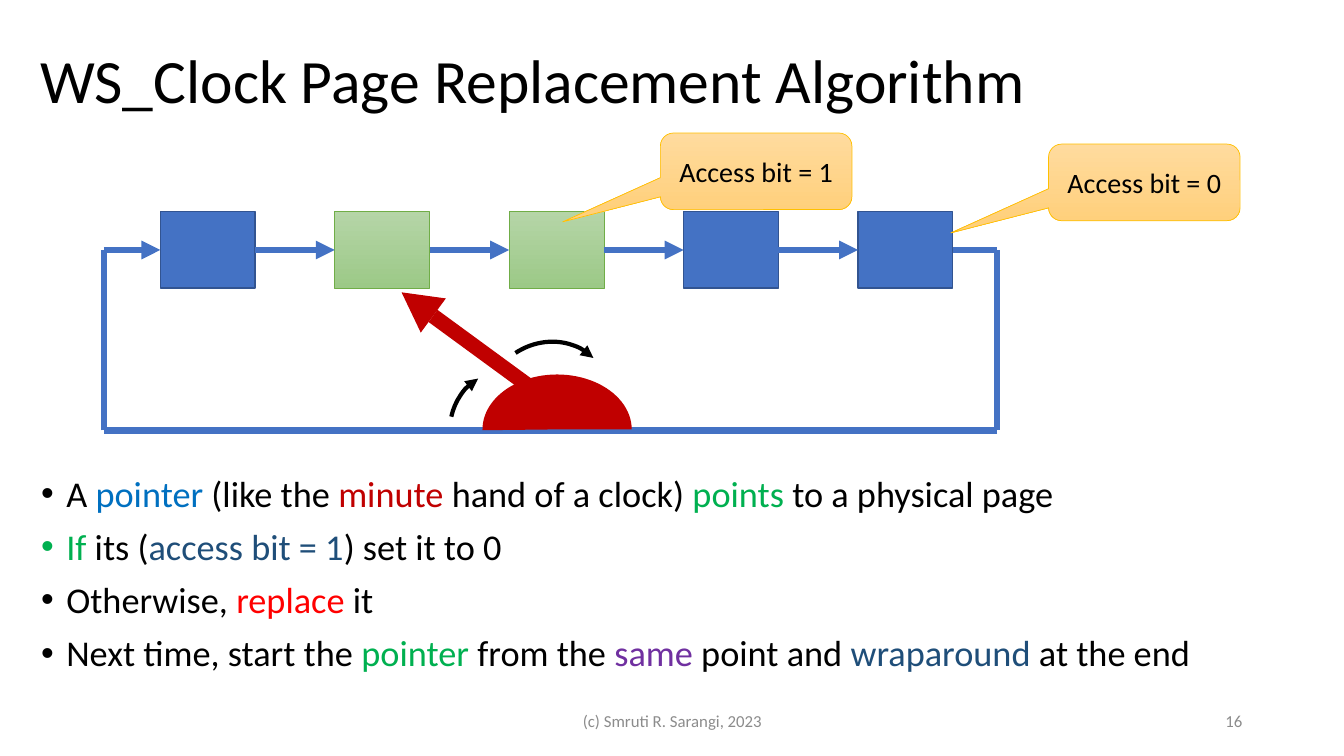
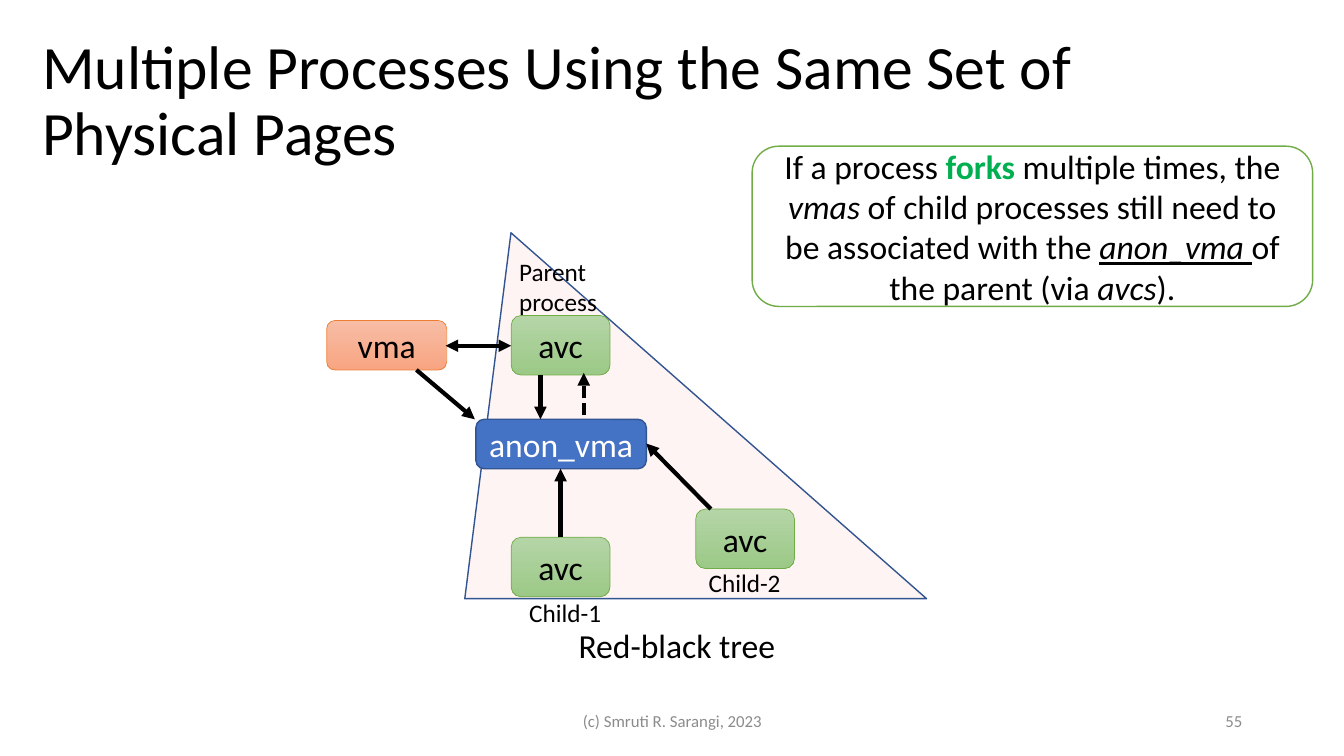
"""Build two lecture slides on page replacement and shared physical pages."""
from dataclasses import dataclass
from itertools import pairwise

from lxml import etree
from pptx import Presentation
from pptx.dml.color import RGBColor
from pptx.enum.dml import MSO_LINE
from pptx.enum.shapes import MSO_CONNECTOR, MSO_SHAPE
from pptx.enum.text import MSO_ANCHOR, PP_ALIGN
from pptx.oxml.ns import qn
from pptx.util import Pt

EMU_PER_PX = 9144
LEFT, CENTER, RIGHT = PP_ALIGN.LEFT, PP_ALIGN.CENTER, PP_ALIGN.RIGHT
TOP, MIDDLE = MSO_ANCHOR.TOP, MSO_ANCHOR.MIDDLE
STRAIGHT = MSO_CONNECTOR.STRAIGHT
DASH = MSO_LINE.SQUARE_DOT
RECT, ROUND_RECT = MSO_SHAPE.RECTANGLE, MSO_SHAPE.ROUNDED_RECTANGLE
CALLOUT = MSO_SHAPE.ROUNDED_RECTANGULAR_CALLOUT
TRIANGLE, PIE, ARC = MSO_SHAPE.ISOSCELES_TRIANGLE, MSO_SHAPE.PIE, MSO_SHAPE.ARC


@dataclass(frozen=True)
class Look:
    """Fill (one colour or a top and bottom pair), outline and text colour."""
    fill: tuple = ()
    line: str = ""
    width: float = 0.5
    text: str = "000000"
    alpha: int = 100


@dataclass(frozen=True)
class Theme:
    """Colours, looks and type sizes of the deck."""
    font: str = "Calibri"
    title: float = 44
    body: float = 25.9
    node: float = 24
    callout: float = 20
    label: float = 18
    footer: float = 12
    black: str = "000000"
    grey: str = "8C8C8C"
    blue: str = "4472C4"
    sky: str = "0070C0"
    navy: str = "1F4E79"
    crimson: str = "C00000"
    red: str = "FF0000"
    emerald: str = "00B050"
    purple: str = "7030A0"
    solid: Look = Look(("4472C4",), "325491", 1, "FFFFFF")
    green: Look = Look(("B5D5A7", "9CC987"), "70AD47")
    orange: Look = Look(("F7BDA5", "F8A582"), "ED7D31")
    amber: Look = Look(("FFDB9E", "FFD07C"), "FFC000")
    note: Look = Look(("FFFFFF",), "70AD47", 1)
    tree: Look = Look(("FFE5E5",), "325491", 1, alpha=40)
    hand: Look = Look(("C00000",))
    turn: Look = Look((), "000000", 3)


def px(length):
    return round(length * EMU_PER_PX)


def rgb(code):
    return RGBColor.from_string(code)


class SlideBuilder:
    """Draws styled elements on the current slide."""

    def __init__(self, deck, theme):
        self.deck = deck
        self.theme = theme
        self.slide = None

    def start(self, title, left, top, number):
        theme = self.theme
        self.slide = self.deck.slides.add_slide(self.deck.slide_layouts[6])
        heading = self.text((left, top, 1150, 145), title, theme.title, anchor=MIDDLE)
        heading.text_frame.paragraphs[0].line_spacing = 0.9
        self.text((442, 695, 450, 40), "(c) Smruti R. Sarangi, 2023",
                  theme.footer, theme.grey, CENTER, MIDDLE)
        self.text((942, 695, 300, 40), number, theme.footer, theme.grey, RIGHT, MIDDLE)

    def fill_para(self, para, content, size, color, align=LEFT):
        para.alignment = align
        para.font.name = self.theme.font
        para.font.size = Pt(size)
        para.font.color.rgb = rgb(color)
        if isinstance(content, str):
            para.text = content
            return
        for words, tint, style in content:
            span = para.add_run()
            span.text = words
            if tint:
                span.font.color.rgb = rgb(tint)
            if "b" in style:
                span.font.bold = True
            if "i" in style:
                span.font.italic = True
            if "u" in style:
                span.font.underline = True

    def text(self, area, content, size, color=None, align=LEFT, anchor=TOP, wrap=True):
        box = self.slide.shapes.add_textbox(*map(px, area))
        box.text_frame.word_wrap = wrap
        box.text_frame.vertical_anchor = anchor
        self.fill_para(box.text_frame.paragraphs[0], content, size,
                       color or self.theme.black, align)
        return box

    def bullets(self, area, items):
        frame = self.slide.shapes.add_textbox(*map(px, area)).text_frame
        frame.word_wrap = True
        for index, item in enumerate(items):
            para = frame.add_paragraph() if index else frame.paragraphs[0]
            properties = para._p.get_or_add_pPr()
            properties.set("marL", str(px(25)))
            properties.set("indent", str(-px(25)))
            etree.SubElement(properties, qn("a:buFont"), typeface="Arial")
            etree.SubElement(properties, qn("a:buChar"), char="•")
            para.line_spacing = 0.9
            para.space_before = Pt(10 if index else 0)
            self.fill_para(para, item, self.theme.body, self.theme.black)

    def paint(self, shape, look):
        shape.shadow.inherit = False
        if not look.fill:
            shape.fill.background()
        elif len(look.fill) == 1:
            shape.fill.solid()
            shape.fill.fore_color.rgb = rgb(look.fill[0])
            if look.alpha < 100:
                color = shape._element.spPr.find(qn("a:solidFill"))[0]
                etree.SubElement(color, qn("a:alpha"), val=str(look.alpha * 1000))
        else:
            shape.fill.gradient()
            shape.fill.gradient_angle = 270
            for stop, code in zip(shape.fill.gradient_stops, look.fill):
                stop.color.rgb = rgb(code)
        if look.line:
            shape.line.color.rgb = rgb(look.line)
            shape.line.width = Pt(look.width)
        else:
            shape.line.fill.background()

    def shape(self, kind, area, look, content="", size=None, adjust=(), turn=0):
        shape = self.slide.shapes.add_shape(kind, *map(px, area))
        self.paint(shape, look)
        shape.rotation = turn
        for index, value in enumerate(adjust):
            shape.adjustments[index] = value
        if content:
            frame = shape.text_frame
            frame.word_wrap = True
            frame.vertical_anchor = MIDDLE
            self.fill_para(frame.paragraphs[0], content, size or self.theme.node,
                           look.text, CENTER)
        return shape

    def arrowheads(self, line, ends):
        for end in ends:
            etree.SubElement(line._get_or_add_ln(), qn(f"a:{end}"), type="triangle")

    def line(self, start, finish, color, width, ends=("tailEnd",), dash=None):
        connector = self.slide.shapes.add_connector(
            STRAIGHT, *map(px, (*start, *finish)))
        connector.line.color.rgb = rgb(color)
        connector.line.width = Pt(width)
        if dash:
            connector.line.dash_style = dash
        self.arrowheads(connector.line, ends)
        etree.SubElement(connector._element.spPr, qn("a:effectLst"))

    def turn_arrow(self, area, sweep, turn):
        arc = self.shape(ARC, area, self.theme.turn, adjust=sweep, turn=turn)
        self.arrowheads(arc.line, ("tailEnd",))


def draw_clock(builder):
    theme = builder.theme
    builder.start("WS_Clock Page Replacement Algorithm", 30, 10, "16")
    builder.bullets((31, 467, 1204, 220), (
        (("A ", "", ""), ("pointer", theme.sky, ""), (" (like the ", "", ""),
         ("minute", theme.crimson, ""), (" hand of a clock) ", "", ""),
         ("points", theme.emerald, ""), (" to a physical page", "", "")),
        (("If", theme.emerald, ""), (" its (", "", ""),
         ("access bit = 1", theme.navy, ""), (") set it to 0", "", "")),
        (("Otherwise, ", "", ""), ("replace", theme.red, ""), (" it", "", "")),
        (("Next time, start the ", "", ""), ("pointer", theme.emerald, ""),
         (" from the ", "", ""), ("same", theme.purple, ""),
         (" point and ", "", ""), ("wraparound", theme.navy, ""),
         (" at the end", "", "")),
    ))

    first, pitch, width, middle = 159, 173, 94, 248
    looks = (theme.solid, theme.green, theme.green, theme.solid, theme.solid)
    lefts = [first + pitch * index for index in range(len(looks))]
    for left, look in zip(lefts, looks):
        builder.shape(RECT, (left, 210, width, 76), look)
    for left, following in pairwise(lefts):
        builder.line((left + width, middle), (following, middle), theme.blue, 4.5)
    loop = ((lefts[-1] + width, middle), (989, middle), (989, 427),
            (103, 427), (103, middle), (first, middle))
    for start, finish in pairwise(loop):
        ends = ("tailEnd",) if finish == loop[-1] else ()
        builder.line(start, finish, theme.blue, 4.5, ends)

    for left, top, bit in ((1040, 143, 0), (655, 132, 1)):
        builder.shape(CALLOUT, (left, top, 190, 76), theme.amber,
                      f"Access bit = {bit}", theme.callout, (-1.01, 0.66, 0.17))

    tilt = 306.2
    builder.shape(PIE, (498, 352, 109, 148), theme.hand, adjust=(53.62, 162), turn=90)
    builder.shape(TRIANGLE, (393, 282, 42, 39), theme.hand, turn=tilt)
    builder.shape(RECT, (474, 287, 15, 129), theme.hand, turn=tilt)
    builder.turn_arrow((442, 372, 128, 118), (186.43, 212.45), 246.1)
    builder.turn_arrow((479, 341, 128, 118), (165.67, 212.45), 321.4)


def draw_shared_pages(builder):
    theme = builder.theme
    builder.start("Multiple Processes Using the Same Set of Physical Pages", 32, 29, "55")
    builder.shape(TRIANGLE, (461, 231, 458, 363), theme.tree, adjust=(0.1,))
    builder.shape(ROUND_RECT, (324, 318, 119, 49), theme.orange, "vma")
    builder.shape(ROUND_RECT, (472, 416, 169, 49), theme.solid, "anon_vma")
    for left, top in ((507, 313), (690, 505), (507, 533)):
        builder.shape(ROUND_RECT, (left, top, 98, 59), theme.green, "avc")

    builder.line((442, 343), (507, 343), theme.black, 3, ("headEnd", "tailEnd"))
    for start, finish in (((536, 372), (536, 416)), ((413, 367), (471, 416)),
                          ((705, 505), (641, 440)), ((556, 533), (556, 465))):
        builder.line(start, finish, theme.black, 3)
    builder.line((579, 412), (579, 370), theme.black, 3, dash=DASH)

    builder.shape(ROUND_RECT, (746, 145, 556, 159), theme.note, (
        ("If a process ", "", ""), ("forks", theme.emerald, "b"),
        (" multiple times, the ", "", ""), ("vmas", "", "i"),
        (" of child processes still need to be associated with the ", "", ""),
        ("anon_vma ", "", "iu"), ("of the parent (via ", "", ""),
        ("avcs", "", "i"), (").", "", "")))
    for area, words, size in (
            ((564, 615, 217, 50), "Red-black tree", theme.node),
            ((505, 249, 98, 71), "Parent\vprocess", theme.label),
            ((515, 588, 92, 40), "Child-1", theme.label),
            ((693, 558, 92, 40), "Child-2", theme.label)):
        builder.text(area, words, size, wrap=False)


def main():
    deck = Presentation()
    deck.slide_width, deck.slide_height = px(1333), px(750)
    builder = SlideBuilder(deck, Theme())
    draw_clock(builder)
    draw_shared_pages(builder)
    deck.save("out.pptx")


if __name__ == "__main__":
    main()
